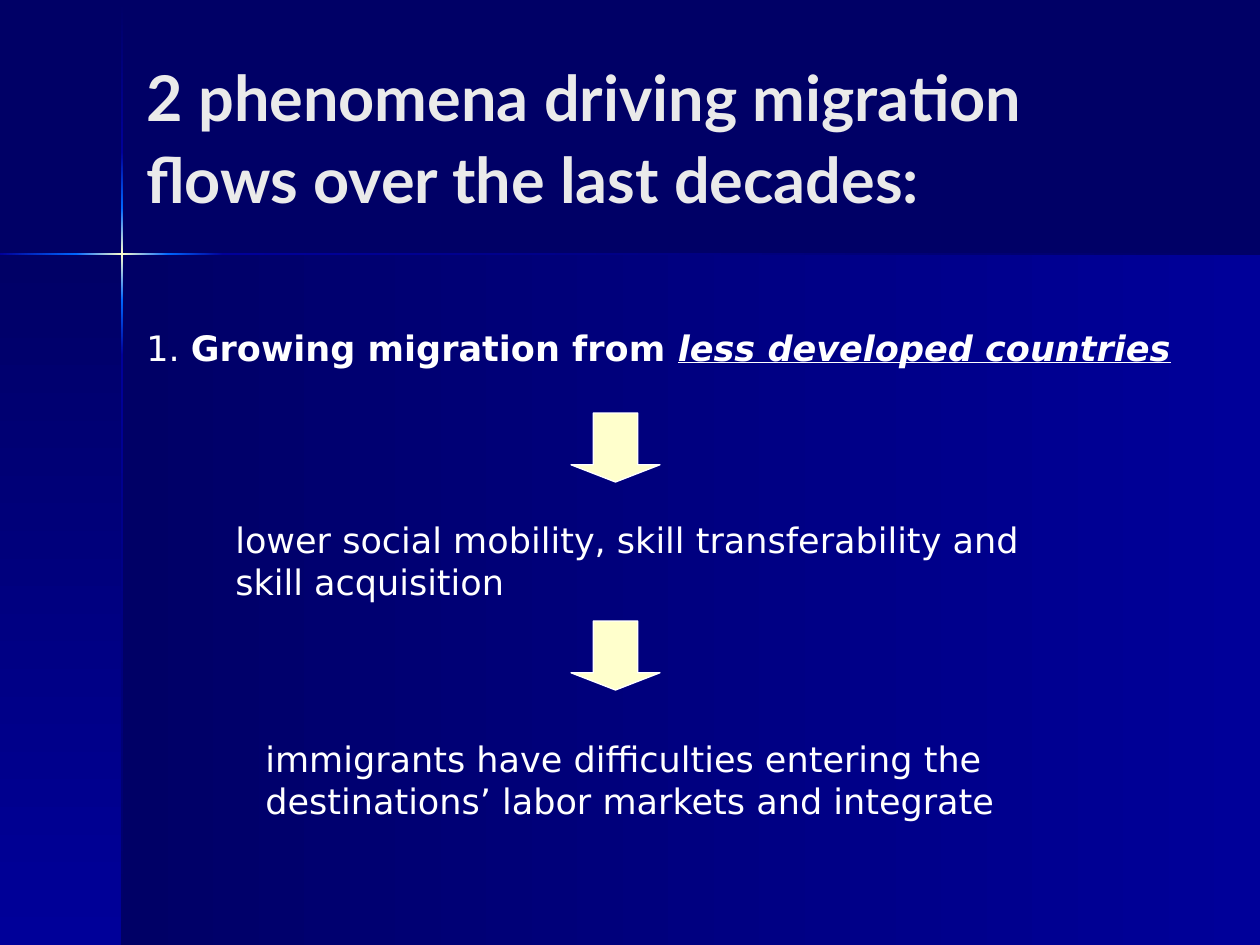
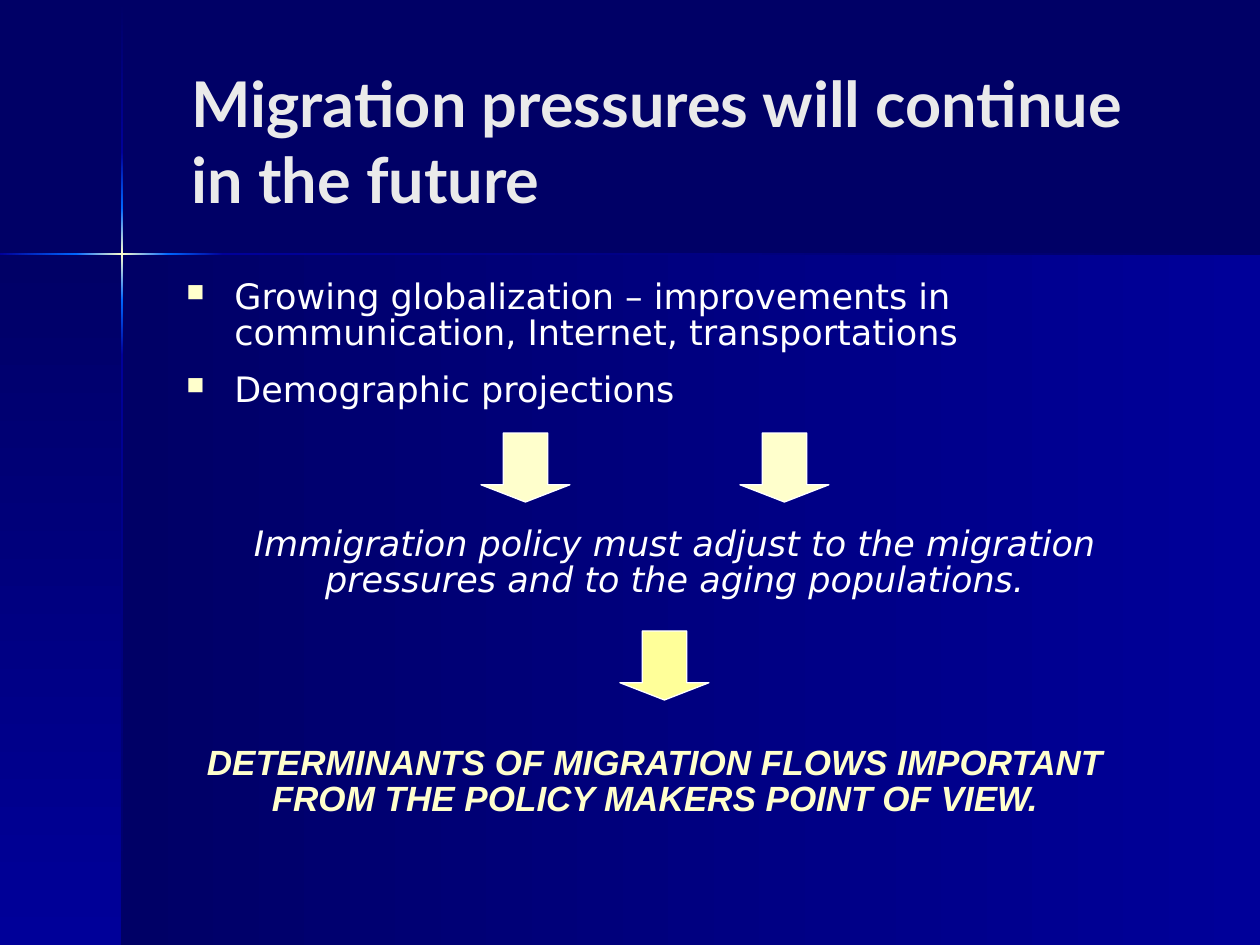
import pptx
import pptx.dml.color
import pptx.enum.shapes
import pptx.enum.text
import pptx.oxml
import pptx.oxml.ns
import pptx.util

RGB = pptx.dml.color.RGBColor
KIND = pptx.enum.shapes.MSO_SHAPE
ALIGN = pptx.enum.text.PP_ALIGN
MID = pptx.enum.text.MSO_ANCHOR.MIDDLE
Pt = pptx.util.Pt

NAVY = RGB(0x00, 0x00, 0x66)
BLUE = RGB(0x00, 0x00, 0x99)
SKY = RGB(0x00, 0x66, 0xFF)
CREAM = RGB(0xFF, 0xFF, 0xCC)
LEMON = RGB(0xFF, 0xFF, 0x99)
WHITE = RGB(0xFF, 0xFF, 0xFF)
PALE = RGB(0xEA, 0xEA, 0xEA)

HEAD, BODY, BOLD = "Lato", "DejaVu Sans", "Arial"
WIDE, HIGH = 1260, 945
SIDE, TOP = 122, 255
INDENT = 48
GLOWS = [(NAVY, BLUE), (BLUE, SKY), (SKY, CREAM, SKY), (SKY, BLUE), (BLUE, NAVY)]
ROWS = [1, 152, 208, 300, 355, HIGH]
COLS = [0, 76, 168, 223, WIDE]


def px(n):
    return round(n * pptx.util.Inches(1) / 126)


class Deck:
    def __init__(self):
        self.file = pptx.Presentation()
        self.file.slide_width = px(WIDE)
        self.file.slide_height = px(HIGH)

    def slide(self, title, box, lead=1.0):
        self.page = self.file.slides.add_slide(self.file.slide_layouts[6])
        back = self.page.background.fill
        back.solid()
        back.fore_color.rgb = NAVY
        self.band((SIDE, TOP, WIDE - SIDE, HIGH - TOP), (NAVY, BLUE), 0)
        self.band((0, TOP, SIDE, HIGH - TOP), (NAVY, BLUE), 90)
        for y, end, glow in zip(ROWS, ROWS[1:], GLOWS):
            self.band((SIDE - 1, y, 2, end - y), glow, 90)
        for x, end, glow in zip(COLS, COLS[1:], GLOWS[1:]):
            self.band((x, TOP - 2, end - x, 2), glow, 0)
        self.text(box, [title], size=36, face=HEAD, color=PALE, bold=True,
                  lead=lead, anchor=MID)

    def shape(self, kind, box):
        item = self.page.shapes.add_shape(kind, *map(px, box))
        item.shadow.inherit = False
        return item

    def band(self, box, hues, turn):
        item = self.shape(KIND.RECTANGLE, box)
        item.line.fill.background()
        item.fill.gradient()
        item.fill.gradient_angle = (360 - turn) % 360
        stops = item.element.spPr.find(".//" + pptx.oxml.ns.qn("a:gsLst"))
        for stop in list(stops):
            stops.remove(stop)
        for i, hue in enumerate(hues):
            spot = i * 100000 // (len(hues) - 1)
            stops.append(pptx.oxml.parse_xml(
                f'<a:gs {pptx.oxml.ns.nsdecls("a")} pos="{spot}">'
                f'<a:srgbClr val="{hue}"/></a:gs>'))

    def arrow(self, x, y, color=CREAM):
        item = self.shape(KIND.DOWN_ARROW, (x, y, 89, 69))
        item.adjustments[0] = 0.5
        item.adjustments[1] = 0.25
        item.fill.solid()
        item.fill.fore_color.rgb = color
        item.line.color.rgb = WHITE
        item.line.width = Pt(0.75)

    def bullet(self, para):
        props = para._p.get_or_add_pPr()
        props.set("marL", str(px(INDENT)))
        props.set("indent", str(-px(INDENT)))
        for tag in (f'<a:buClr {{}}><a:srgbClr val="{CREAM}"/></a:buClr>',
                    '<a:buSzPct {} val="70000"/>',
                    '<a:buChar {} char="■"/>'):
            props.append(pptx.oxml.parse_xml(tag.format(pptx.oxml.ns.nsdecls("a"))))

    def text(self, box, lines, size=20, face=BODY, color=WHITE, bold=None,
             italic=None, align=ALIGN.LEFT, lead=1.0, anchor=None, marks=False):
        frame = self.page.shapes.add_textbox(*map(px, box)).text_frame
        frame.word_wrap = True
        frame.vertical_anchor = anchor
        for i, line in enumerate(lines):
            para = frame.paragraphs[0]
            if i:
                para = frame.add_paragraph()
                para.space_before = Pt(12.4)
            if marks:
                self.bullet(para)
            para.alignment = align
            para.line_spacing = lead
            font = para.font
            font.size, font.name = Pt(size), face
            font.bold, font.italic = bold, italic
            font.color.rgb = color
            for words, style in [(line, "")] if isinstance(line, str) else line:
                run = para.add_run()
                run.text = words
                if "b" in style:
                    run.font.bold = True
                if "i" in style:
                    run.font.italic = True
                if "u" in style:
                    run.font.underline = True


def main():
    deck = Deck()

    deck.slide("2 phenomena driving migration flows over the last decades:",
               (134, 55, 1052, 159), lead=1.08)
    deck.text((134, 320, 1060, 83), [[
        ("1. ", ""),
        ("Growing migration from ", "b"),
        ("less developed countries", "biu")]])
    deck.text((223, 512, 833, 97),
              ["lower social mobility, skill transferability and skill acquisition"])
    deck.text((253, 731, 784, 97),
              ["immigrants have difficulties entering the destinations’ labor "
               "markets and integrate"])
    for y in (413, 621):
        deck.arrow(571, y)

    deck.slide("Migration pressures will continue in the future",
               (179, 66, 978, 149))
    deck.text((174, 275, 1013, 169),
              ["Growing globalization – improvements in communication, "
               "Internet, transportations",
               "Demographic projections"], lead=0.85, marks=True)
    for x in (481, 740):
        deck.arrow(x, 433)
    deck.text((184, 522, 982, 84),
              ["Immigration policy must adjust to the migration pressures "
               "and to the aging populations."],
              italic=True, align=ALIGN.CENTER, lead=0.85)
    deck.arrow(620, 631, LEMON)
    deck.text((144, 741, 1022, 84),
              ["DETERMINANTS OF MIGRATION FLOWS IMPORTANT FROM THE POLICY "
               "MAKERS POINT OF VIEW."],
              face=BOLD, color=CREAM, bold=True, italic=True,
              align=ALIGN.CENTER, lead=0.85)

    deck.file.save("out.pptx")


if __name__ == "__main__":
    main()
